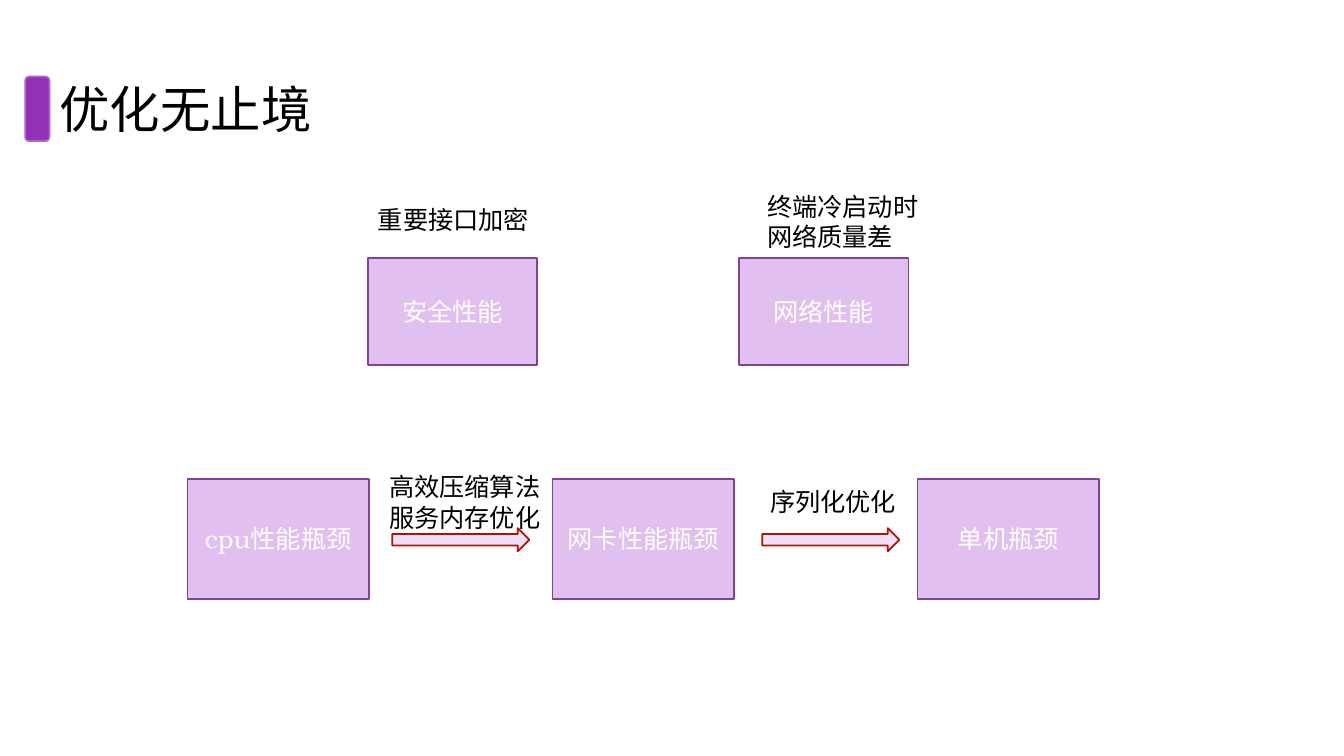
from dataclasses import dataclass

from lxml import etree
from pptx import Presentation
from pptx.dml.color import RGBColor
from pptx.enum.shapes import MSO_SHAPE
from pptx.enum.text import MSO_ANCHOR, MSO_AUTO_SIZE, PP_ALIGN
from pptx.oxml.ns import qn
from pptx.shapes.autoshape import Shape
from pptx.slide import Slide
from pptx.text.text import TextFrame
from pptx.util import Inches, Pt

RECTANGLE = MSO_SHAPE.RECTANGLE
ROUNDED = MSO_SHAPE.ROUNDED_RECTANGLE
RIGHT_ARROW = MSO_SHAPE.RIGHT_ARROW
TOP = MSO_ANCHOR.TOP
MIDDLE = MSO_ANCHOR.MIDDLE
LEFT = PP_ALIGN.LEFT
CENTER = PP_ALIGN.CENTER
NO_AUTOFIT = MSO_AUTO_SIZE.NONE

TITLE_FONT = "Noto Sans CJK SC"
BODY_FONT = "TeX Gyre Bonum"
BLACK = "000000"
WHITE = "FFFFFF"


@dataclass(frozen=True)
class Box:
    left: float
    top: float
    width: float
    height: float


@dataclass(frozen=True)
class Style:
    fill: str
    line: str


@dataclass(frozen=True)
class Row:
    left: float
    top: float
    width: float
    height: float
    step: float
    labels: tuple[str, ...]


@dataclass(frozen=True)
class Note:
    box: Box
    lines: tuple[str, ...]


ACCENT = Style("9231B6", "B560D4")
TOPIC = Style("E1BFEE", "804496")
ARROW = Style("F0DFF6", "AF1301")

TOPIC_ROWS = (
    Row(3.65, 2.56, 1.68, 1.06, 3.68, ("安全性能", "网络性能")),
    Row(1.86, 4.75, 1.8, 1.19, 3.62, ("cpu性能瓶颈", "网卡性能瓶颈", "单机瓶颈")),
)
ARROW_ROW = Row(3.89, 5.24, 1.36, 0.23, 3.67, ("", ""))
NOTES = (
    Note(Box(3.65, 1.98, 1.72, 0.4), ("重要接口加密",)),
    Note(Box(7.51, 1.85, 1.72, 0.71), ("终端冷启动时", "网络质量差")),
    Note(Box(3.76, 4.63, 1.72, 0.71), ("高效压缩算法", "服务内存优化")),
    Note(Box(7.54, 4.78, 1.46, 0.4), ("序列化优化",)),
)


def color(value: str) -> RGBColor:
    return RGBColor.from_string(value)


def write(frame: TextFrame, lines: tuple[str, ...], size: float, font: str,
          ink: str, align: PP_ALIGN, anchor: MSO_ANCHOR, wrap: bool) -> None:
    frame.word_wrap = wrap
    frame.auto_size = NO_AUTOFIT
    frame.vertical_anchor = anchor
    paragraph = frame.paragraphs[0]
    paragraph.alignment = align
    for index, line in enumerate(lines):
        if index:
            paragraph.add_line_break()
        run = paragraph.add_run()
        run.text = line
        run.font.size = Pt(size)
        run.font.name = font
        run.font.color.rgb = color(ink)
        east_asian = etree.SubElement(run.font._element, qn("a:ea"))
        east_asian.set("typeface", font)


def add_block(slide: Slide, kind: MSO_SHAPE, box: Box, style: Style) -> Shape:
    block = slide.shapes.add_shape(kind, Inches(box.left), Inches(box.top),
                                   Inches(box.width), Inches(box.height))
    block.shadow.inherit = False
    block.fill.solid()
    block.fill.fore_color.rgb = color(style.fill)
    block.line.color.rgb = color(style.line)
    block.line.width = Pt(1.25)
    return block


def add_row(slide: Slide, kind: MSO_SHAPE, row: Row, style: Style) -> None:
    for index, label in enumerate(row.labels):
        box = Box(row.left + index * row.step, row.top, row.width, row.height)
        block = add_block(slide, kind, box, style)
        if label:
            write(block.text_frame, (label,), 18, BODY_FONT, WHITE, CENTER, MIDDLE, True)


def add_note(slide: Slide, note: Note) -> None:
    box = note.box
    caption = slide.shapes.add_textbox(Inches(box.left), Inches(box.top),
                                       Inches(box.width), Inches(box.height))
    write(caption.text_frame, note.lines, 18, BODY_FONT, BLACK, LEFT, TOP, False)


def set_title(slide: Slide, text: str) -> None:
    title = slide.shapes.title
    title.left, title.top = Inches(0.49), Inches(0.72)
    title.width, title.height = Inches(2.73), Inches(0.71)
    write(title.text_frame, (text,), 36, TITLE_FONT, BLACK, LEFT, TOP, False)


def main() -> None:
    deck = Presentation()
    deck.slide_width, deck.slide_height = Inches(13.33), Inches(7.5)
    slide = deck.slides.add_slide(deck.slide_layouts[5])
    add_block(slide, ROUNDED, Box(0.25, 0.76, 0.24, 0.64), ACCENT)
    set_title(slide, "优化无止境")
    for row in TOPIC_ROWS:
        add_row(slide, RECTANGLE, row, TOPIC)
    add_row(slide, RIGHT_ARROW, ARROW_ROW, ARROW)
    for note in NOTES:
        add_note(slide, note)
    deck.save("out.pptx")


if __name__ == "__main__":
    main()
